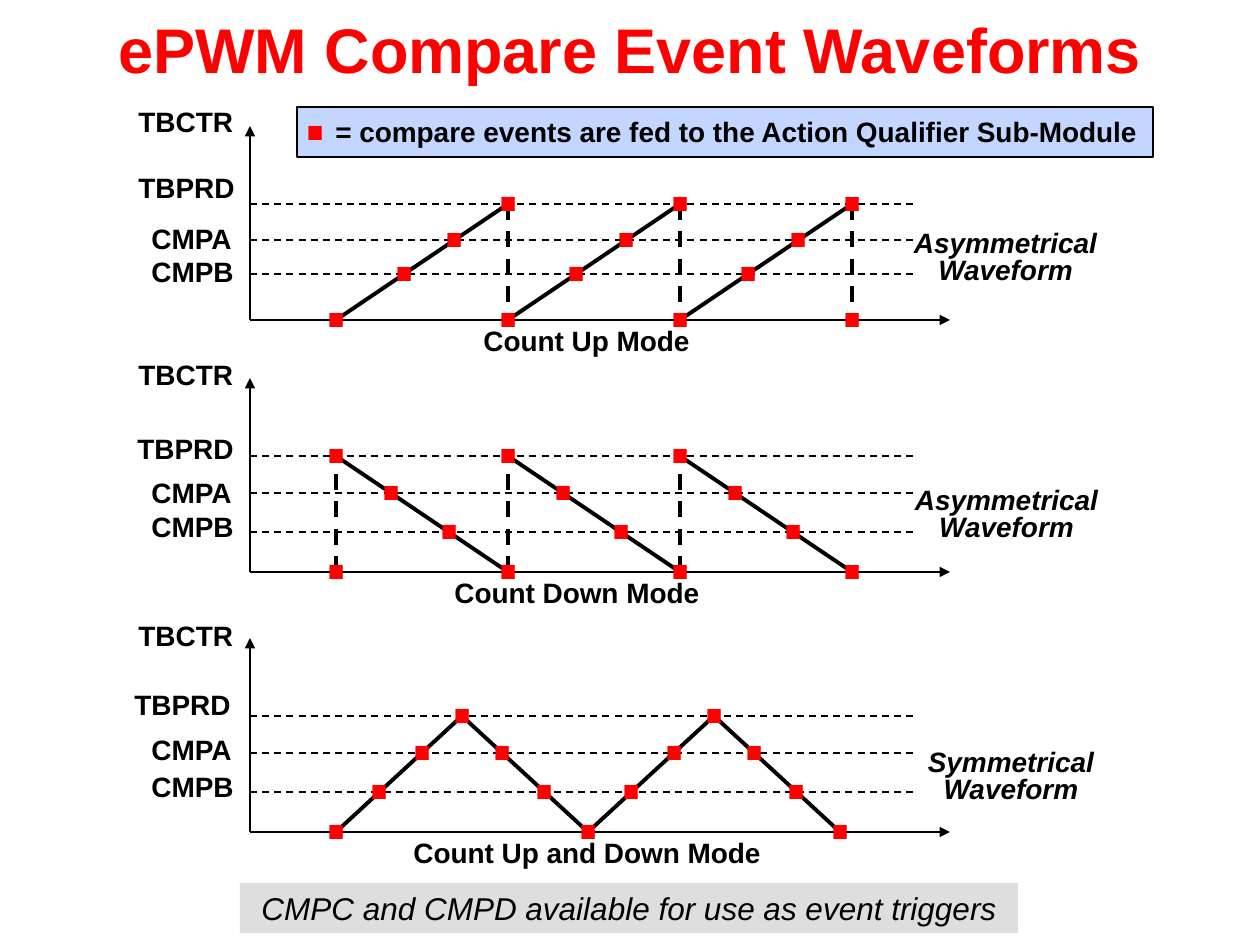
from dataclasses import dataclass
from itertools import pairwise

from lxml.etree import SubElement
from pptx import Presentation
from pptx.dml.color import RGBColor
from pptx.enum.dml import MSO_LINE_DASH_STYLE as Dash
from pptx.enum.shapes import MSO_CONNECTOR as Connector, MSO_SHAPE as Shape
from pptx.enum.text import MSO_ANCHOR as Anchor, MSO_AUTO_SIZE as AutoSize, PP_ALIGN as Align
from pptx.oxml.ns import qn
from pptx.util import Emu, Pt


@dataclass(frozen=True)
class Theme:
    font: str = "Arial"
    ink: RGBColor = RGBColor(0x00, 0x00, 0x00)
    accent: RGBColor = RGBColor(0xFF, 0x00, 0x00)
    legend_fill: RGBColor = RGBColor(0xC2, 0xD6, 0xFF)
    footer_fill: RGBColor = RGBColor(0xDE, 0xDE, 0xDE)
    title_size: int = 36
    label_size: int = 16
    footer_size: int = 18
    marker_size: int = 54
    thin: float = 1
    thick: float = 2.25
    line_spacing: float = 0.8


@dataclass(frozen=True)
class Mode:
    caption: str
    caption_span: tuple   # left, width
    note: str
    note_box: tuple       # left, top, width
    label_tops: tuple     # TBCTR, TBPRD, CMPA, CMPB
    period_left: int
    compare_levels: tuple  # heights of the CMPA and CMPB lines
    wave: tuple           # points as (x, 0 for zero or 1 for period)


THEME = Theme()
PX_PER_INCH = 126
WAVE_LEFT, PERIOD, HALF_CYCLE = 86, 172, 126
PEAK_Y = 78

UP_WAVE = ((WAVE_LEFT, 0),) + tuple(
    (WAVE_LEFT + PERIOD * cycle, level) for cycle in (1, 2, 3) for level in (1, 0))
DOWN_WAVE = tuple(
    (WAVE_LEFT + PERIOD * cycle, level) for cycle in (0, 1, 2) for level in (0, 1)
) + ((WAVE_LEFT + PERIOD * 3, 0),)
UP_DOWN_WAVE = tuple((WAVE_LEFT + HALF_CYCLE * step, step % 2) for step in range(5))

MODES = (
    Mode("Count Up Mode", (221, 232), "Asymmetrical", (651, 100, 209),
         (-21, 45, 96, 129), -124, (114, 148), UP_WAVE),
    Mode("Count Down Mode", (192, 271), "Asymmetrical", (652, 105, 209),
         (-20, 54, 98, 132), -125, (115, 154), DOWN_WAVE),
    Mode("Count Up and Down Mode", (151, 374), "Symmetrical", (665, 107, 192),
         (-19, 50, 95, 132), -128, (115, 154), UP_DOWN_WAVE),
)


def px(length):
    return Emu(round(length * 914400 / PX_PER_INCH))


def write(frame, lines, size, color=THEME.ink, bold=True, italic=False,
          align=Align.LEFT, spacing=THEME.line_spacing):
    for index, line in enumerate(lines):
        paragraph = frame.add_paragraph() if index else frame.paragraphs[0]
        paragraph.text = line
        paragraph.alignment = align
        paragraph.line_spacing = spacing
        font = paragraph.font
        font.name, font.size, font.bold, font.italic = THEME.font, Pt(size), bold, italic
        font.color.rgb = color


def add_label(slide, left, top, width, *lines, height=39, size=THEME.label_size, **style):
    frame = slide.shapes.add_textbox(px(left), px(top), px(width), px(height)).text_frame
    frame.word_wrap = False
    frame.auto_size = AutoSize.SHAPE_TO_FIT_TEXT
    write(frame, lines, size, **style)


def add_marker(slide, x, y):
    """Place a large full stop so that its square dot is centred on (x, y)."""
    add_label(slide, x - 25, y - 71, 49, ".", height=105,
              size=THEME.marker_size, color=THEME.accent)


def add_line(slide, start, end, width=THEME.thin, dashed=False, arrow=False):
    connector = slide.shapes.add_connector(
        Connector.STRAIGHT, *(px(value) for value in (*start, *end)))
    connector.line.color.rgb = THEME.ink
    connector.line.width = Pt(width)
    if dashed:
        connector.line.dash_style = Dash.DASH
    if arrow:
        SubElement(connector.line._get_or_add_ln(), qn("a:tailEnd"), type="triangle")
    SubElement(connector._element.spPr, qn("a:effectLst"))


def add_panel(slide, left, top, width, height):
    panel = slide.shapes.add_shape(Shape.RECTANGLE, px(left), px(top), px(width), px(height))
    panel.shadow.inherit = False
    panel.fill.solid()
    return panel


def add_title(slide, left, top, width, height):
    frame = slide.shapes.add_textbox(px(left), px(top), px(width), px(height)).text_frame
    frame.word_wrap = True
    frame.vertical_anchor = Anchor.MIDDLE
    write(frame, ["ePWM Compare Event Waveforms"], THEME.title_size,
          color=THEME.accent, align=Align.CENTER, spacing=1.0)


def add_waveform(slide, left, top, width, height, mode):
    def at(x, y):
        return left + x, top + y

    def level_y(level):
        return height - level * (height - PEAK_Y)

    # Waveform: ramps are solid, resets are dashed
    markers = [(x, level_y(level)) for x, level in mode.wave]
    for (x1, y1), (x2, y2) in pairwise(tuple(markers)):
        reset = x1 == x2
        add_line(slide, at(x1, y1), at(x2, y2), THEME.thick, dashed=reset)
        if not reset:
            markers += [(x1 + (x2 - x1) * (y - y1) / (y2 - y1), y)
                        for y in mode.compare_levels]

    # Axes and level lines
    add_line(slide, at(0, height), at(width, height), arrow=True)
    add_line(slide, at(0, height), at(0, 0), arrow=True)
    for y in (PEAK_Y, *mode.compare_levels):
        add_line(slide, at(0, y), at(663, y), dashed=True)

    # Axis labels
    labels = (("TBCTR", -124, 120), ("TBPRD", mode.period_left, 121),
              ("CMPA", -111, 107), ("CMPB", -111, 107))
    for (text, x, label_width), y in zip(labels, mode.label_tops):
        add_label(slide, *at(x, y), label_width, text)

    # Caption and side note
    caption_left, caption_width = mode.caption_span
    add_label(slide, *at(caption_left, height + 4), caption_width, mode.caption)
    note_left, note_top, note_width = mode.note_box
    add_label(slide, *at(note_left, note_top), note_width, mode.note, "Waveform",
              height=67, italic=True, align=Align.CENTER)

    # Compare events
    for x, y in markers:
        add_marker(slide, *at(x, y))


def add_legend(slide, left, top, width, height):
    panel = add_panel(slide, left, top, width, height)
    panel.fill.fore_color.rgb = THEME.legend_fill
    panel.line.color.rgb = THEME.ink
    panel.line.width = Pt(THEME.thin)
    add_marker(slide, left + 18, top + 26)
    add_label(slide, left + 26, top + 8, width - 24,
              "= compare events are fed to the Action Qualifier Sub-Module")


def add_footer(slide, left, top, width, height):
    panel = add_panel(slide, left, top, width, height)
    panel.fill.fore_color.rgb = THEME.footer_fill
    panel.line.fill.background()
    frame = panel.text_frame
    frame.word_wrap = True
    frame.vertical_anchor = Anchor.TOP
    frame.margin_top = px(13)
    write(frame, ["CMPC and CMPD available for use as event triggers"],
          THEME.footer_size, bold=False, italic=True, align=Align.CENTER)


def main():
    presentation = Presentation()
    presentation.slide_width, presentation.slide_height = px(1260), px(945)
    slide = presentation.slides.add_slide(presentation.slide_layouts[6])
    add_title(slide, 0, 0, 1260, 97)
    for top, mode in zip((126, 378, 638), MODES):
        add_waveform(slide, 250, top, 700, 194, mode)
    add_legend(slide, 297, 107, 856, 50)
    add_footer(slide, 240, 883, 778, 50)
    presentation.save("out.pptx")


if __name__ == "__main__":
    main()
